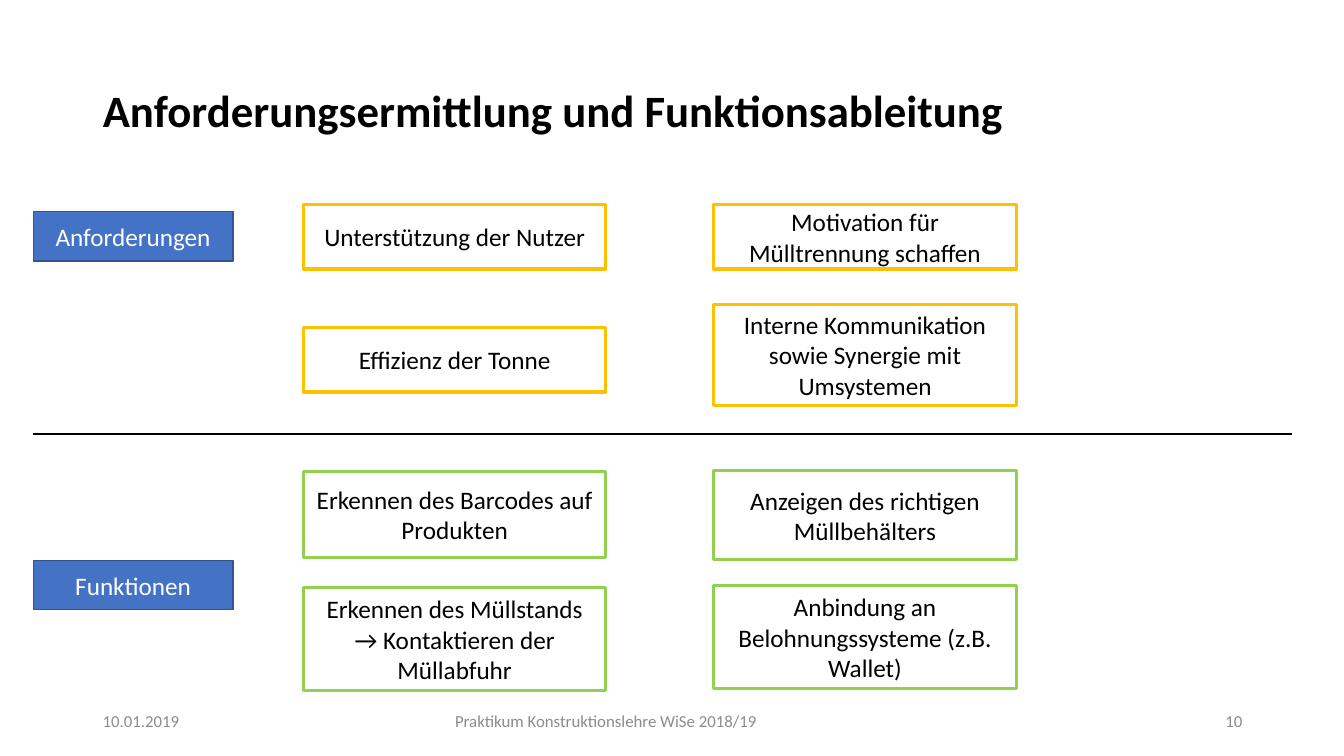
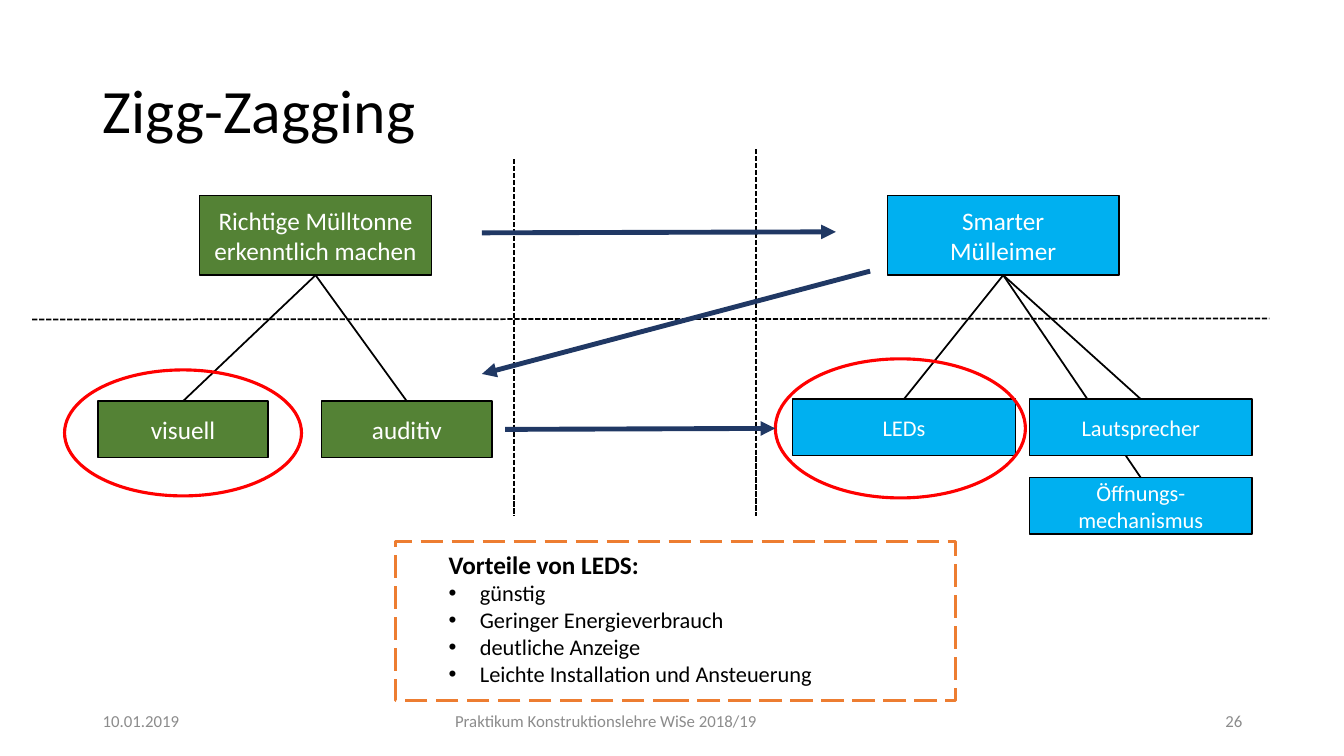
from dataclasses import dataclass
from typing import Optional

from lxml.etree import SubElement
from pptx import Presentation
from pptx.dml.color import RGBColor
from pptx.enum.dml import MSO_LINE
from pptx.enum.shapes import MSO_CONNECTOR, MSO_SHAPE
from pptx.enum.text import MSO_ANCHOR, MSO_AUTO_SIZE, PP_ALIGN
from pptx.oxml.ns import qn
from pptx.util import Pt

PX = 9144
FONT = "Calibri"
COLORS = {
    "black": "000000",
    "white": "FFFFFF",
    "footer": "8C8C8C",
    "label": "4472C4",
    "label_line": "325491",
    "requirement": "FFC000",
    "function": "92D050",
    "need": "548235",
    "product": "00B0F0",
    "arrow": "203864",
    "choice": "FF0000",
    "benefit": "ED7D31",
}


@dataclass(frozen=True)
class Style:
    fill: Optional[str]
    line: str
    width: float
    text: str = "white"
    size: int = 18
    dash: Optional[MSO_LINE] = None


@dataclass(frozen=True)
class Box:
    text: str
    x: int
    y: int
    w: int
    h: int


@dataclass(frozen=True)
class Line:
    x1: int
    y1: int
    x2: int
    y2: int


@dataclass(frozen=True)
class Tree:
    root: Box
    children: tuple[Box, ...]
    root_style: Style
    child_style: Style


LABEL = Style("label", "label_line", 1)
REQUIREMENT = Style("white", "requirement", 2.25, "black")
FUNCTION = Style("white", "function", 2.25, "black")
NEED = Style("need", "black", 1)
PRODUCT = Style("product", "black", 1)
PART = Style("product", "black", 1, size=16)
CHOICE = Style(None, "choice", 2.25)
BENEFIT = Style(None, "benefit", 2, dash=MSO_LINE.LONG_DASH)


def rgb(name: str) -> RGBColor:
    return RGBColor.from_string(COLORS[name])


def emu(*lengths: int) -> list[int]:
    return [n * PX for n in lengths]


def place(sp, x: int, y: int, w: int, h: int) -> None:
    sp.left, sp.top, sp.width, sp.height = emu(x, y, w, h)


def format_text(tf, size: int, color: str, align=PP_ALIGN.LEFT, bold=False,
                anchor=MSO_ANCHOR.MIDDLE) -> None:
    tf.word_wrap = True
    tf.auto_size = MSO_AUTO_SIZE.NONE
    tf.vertical_anchor = anchor
    for p in tf.paragraphs:
        p.alignment = align
        for r in p.runs:
            r.font.name = FONT
            r.font.size = Pt(size)
            r.font.bold = bold
            r.font.color.rgb = rgb(color)


def add_box(s, box: Box, style: Style, kind=MSO_SHAPE.RECTANGLE):
    sp = s.shapes.add_shape(kind, *emu(box.x, box.y, box.w, box.h))
    sp.shadow.inherit = False
    if style.fill:
        sp.fill.solid()
        sp.fill.fore_color.rgb = rgb(style.fill)
    else:
        sp.fill.background()
    sp.line.color.rgb = rgb(style.line)
    sp.line.width = Pt(style.width)
    if style.dash:
        sp.line.dash_style = style.dash
    if box.text:
        sp.text_frame.text = box.text
        format_text(sp.text_frame, style.size, style.text, PP_ALIGN.CENTER)
    return sp


def add_line(s, line: Line, width=1.25, color="black", dash=None, arrow=False):
    cx = s.shapes.add_connector(MSO_CONNECTOR.STRAIGHT,
                                *emu(line.x1, line.y1, line.x2, line.y2))
    cx.line.color.rgb = rgb(color)
    cx.line.width = Pt(width)
    if dash:
        cx.line.dash_style = dash
    if arrow:
        SubElement(cx.line._get_or_add_ln(), qn("a:tailEnd"), type="triangle")
    SubElement(cx._element.spPr, qn("a:effectLst"))
    return cx


def add_tree(s, tree: Tree) -> None:
    root = add_box(s, tree.root, tree.root_style)
    for child in tree.children:
        sp = add_box(s, child, tree.child_style)
        cx = add_line(s, Line(0, 0, 0, 0))
        cx.begin_connect(root, 2)
        cx.end_connect(sp, 0)


def add_list(sp, heading: str, items: list[str]) -> None:
    place(sp, 435, 540, 469, 148)
    tf = sp.text_frame
    tf.text = "\n".join([heading, *items])
    format_text(tf, 16, "black", anchor=MSO_ANCHOR.TOP)
    for i, p in enumerate(tf.paragraphs):
        p.space_before = Pt(0)
        pPr = p._p.get_or_add_pPr()
        indent = 31 * PX if i else 0
        pPr.set("marL", str(indent))
        pPr.set("indent", str(-indent))
        if i:
            SubElement(pPr, qn("a:buFont"), typeface="Arial")
            SubElement(pPr, qn("a:buChar"), char="•")
        else:
            SubElement(pPr, qn("a:buNone"))
    r = tf.paragraphs[0].runs[0]
    r.font.size = Pt(18)
    r.font.bold = True


def add_slide(prs, layout: int, title: str, number: int, size: int, bold=False):
    s = prs.slides.add_slide(prs.slide_layouts[layout])
    sp = s.shapes.title
    place(sp, 92, 40, 1150, 145)
    sp.text_frame.text = title
    format_text(sp.text_frame, size, "black", bold=bold)
    sp.text_frame.paragraphs[0].line_spacing = 0.9
    footers = (
        (Box("10.01.2019", 92, 695, 300, 40), PP_ALIGN.LEFT),
        (Box("Praktikum Konstruktionslehre WiSe 2018/19", 269, 695, 664, 40),
         PP_ALIGN.CENTER),
        (Box(str(number), 942, 695, 300, 40), PP_ALIGN.RIGHT),
    )
    for box, align in footers:
        tb = s.shapes.add_textbox(*emu(box.x, box.y, box.w, box.h))
        tb.text_frame.text = box.text
        format_text(tb.text_frame, 12, "footer", align)
    return s


def build_requirements(prs) -> None:
    s = add_slide(prs, 5, "Anforderungsermittlung und Funktionsableitung",
                  10, 32, True)
    for text, y in (("Anforderungen", 210), ("Funktionen", 556)):
        add_box(s, Box(text, 33, y, 198, 49), LABEL)
    left, right, w = 301, 708, 300
    groups = (
        (REQUIREMENT, (
            Box("Unterstützung der Nutzer", left, 203, w, 64),
            Box("Motivation für Mülltrennung schaffen", right, 203, w, 64),
            Box("Effizienz der Tonne", left, 325, w, 64),
            Box("Interne Kommunikation sowie Synergie mit Umsystemen",
                right, 302, w, 100),
        )),
        (FUNCTION, (
            Box("Erkennen des Barcodes auf Produkten", left, 468, w, 85),
            Box("Anzeigen des richtigen Müllbehälters", right, 467, w, 88),
            Box("Erkennen des Müllstands\n→ Kontaktieren der Müllabfuhr",
                left, 583, w, 102),
            Box("Anbindung an Belohnungssysteme (z.B. Wallet)",
                right, 581, w, 102),
        )),
    )
    for style, boxes in groups:
        for box in boxes:
            add_box(s, box, style)
    add_line(s, Line(33, 431, 1281, 431), 1.5)


def build_zigzag(prs) -> None:
    s = add_slide(prs, 1, "Zigg-Zagging", 26, 44)
    add_list(s.placeholders[1], "Vorteile von LEDS:", [
        "günstig",
        "Geringer Energieverbrauch",
        "deutliche Anzeige",
        "Leichte Installation und Ansteuerung",
    ])
    add_box(s, Box("", 392, 537, 556, 158), BENEFIT)
    for line in (Line(750, 148, 750, 512), Line(510, 158, 510, 512),
                 Line(32, 317, 1259, 316)):
        add_line(s, line, dash=MSO_LINE.SQUARE_DOT)
    trees = (
        Tree(Box("Richtige Mülltonne erkenntlich machen", 198, 194, 230, 79),
             (Box("visuell", 97, 398, 169, 56),
              Box("auditiv", 319, 398, 169, 56)),
             NEED, NEED),
        Tree(Box("Smarter\nMülleimer", 880, 194, 230, 79),
             (Box("Öffnungs-mechanismus", 1021, 474, 221, 56),
              Box("Lautsprecher", 1021, 396, 221, 56),
              Box("LEDs", 786, 396, 221, 56)),
             PRODUCT, PART),
    )
    for tree in trees:
        add_tree(s, tree)
    for ring in (Box("", 64, 367, 235, 125), Box("", 769, 356, 248, 138)):
        add_box(s, ring, CHOICE, MSO_SHAPE.OVAL)
    for line in (Line(478, 231, 829, 230), Line(863, 269, 478, 371),
                 Line(501, 426, 769, 425)):
        add_line(s, line, 3.5, "arrow", arrow=True)


def main() -> None:
    prs = Presentation()
    prs.slide_width, prs.slide_height = emu(1333, 750)
    build_requirements(prs)
    build_zigzag(prs)
    prs.save("out.pptx")


if __name__ == "__main__":
    main()
